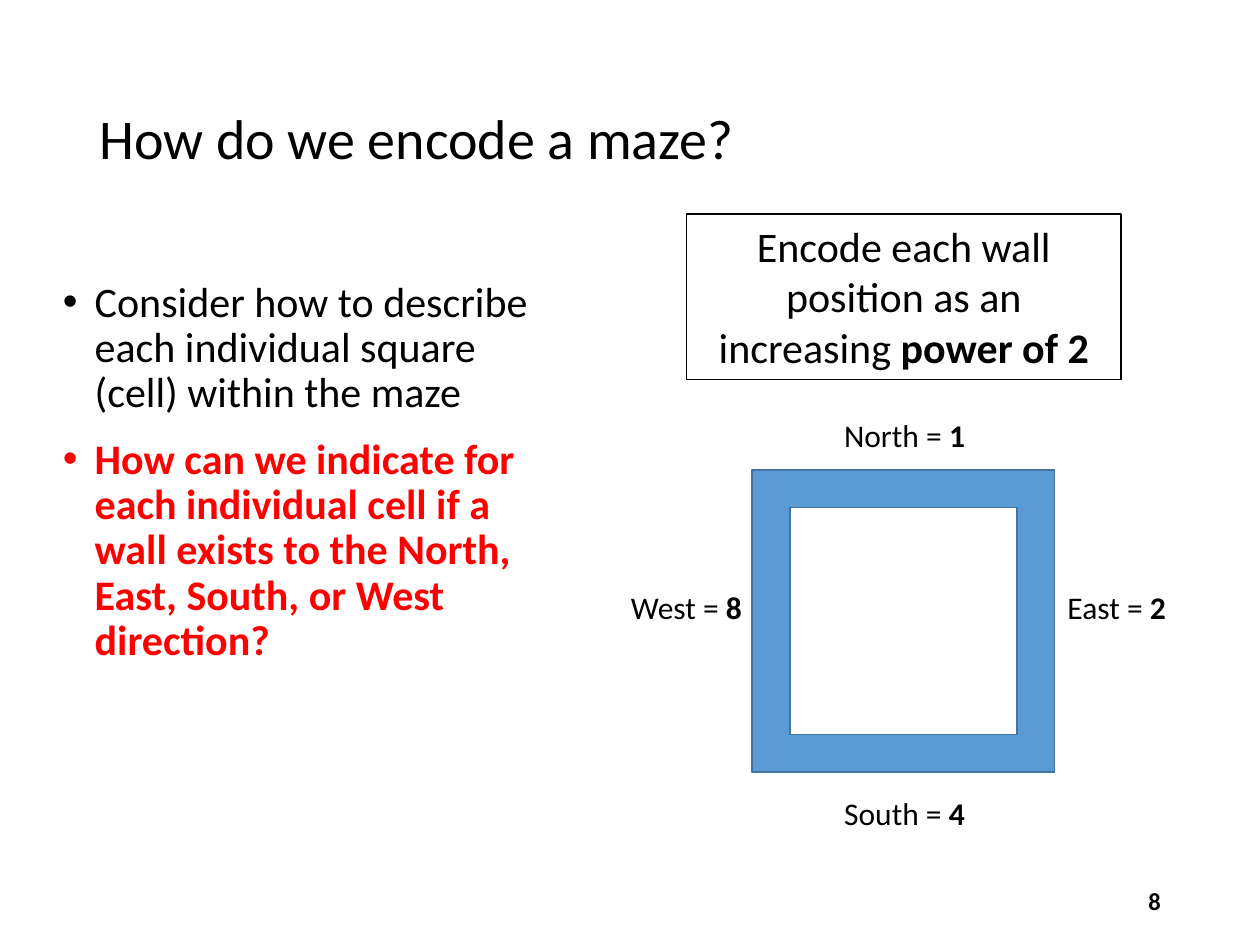
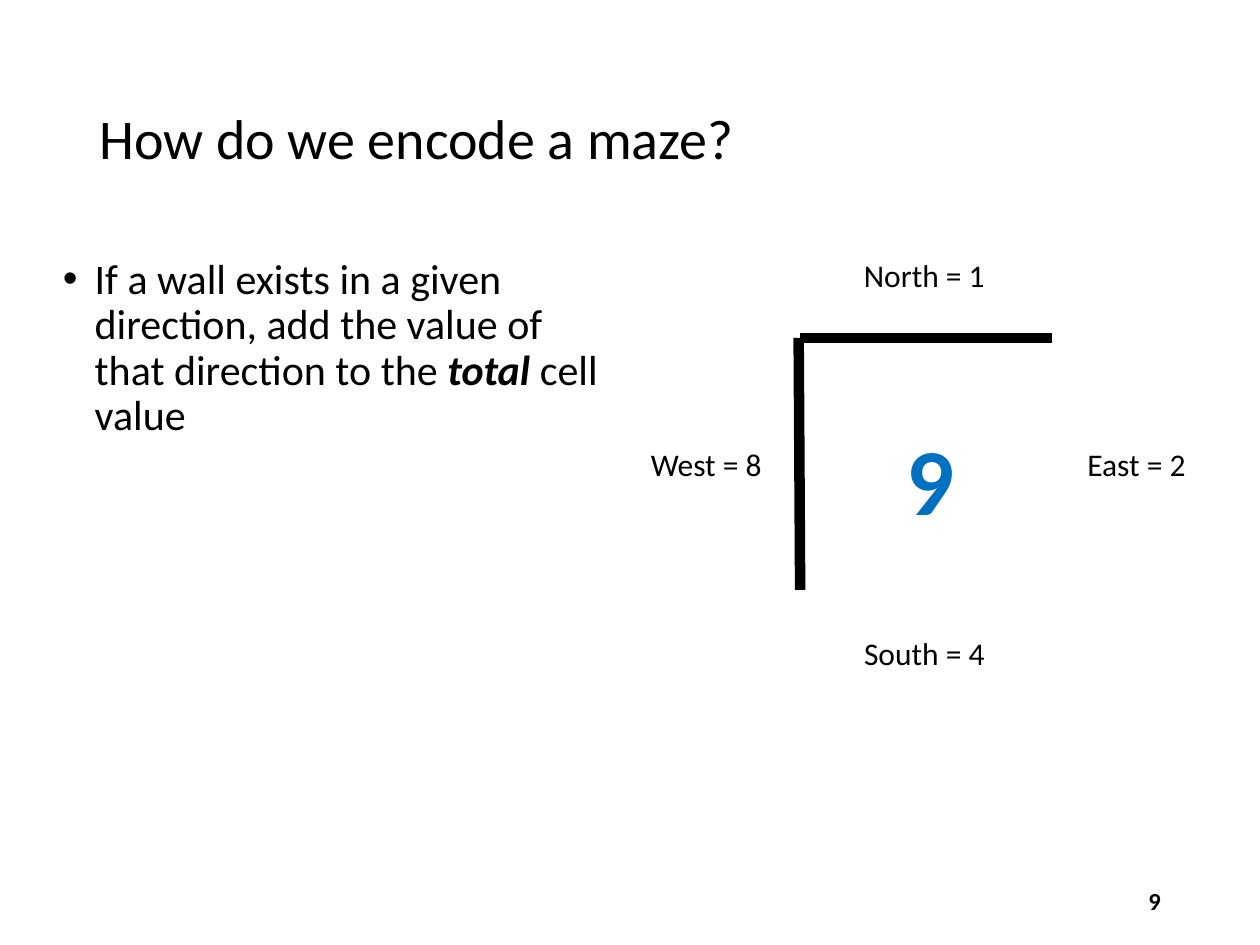
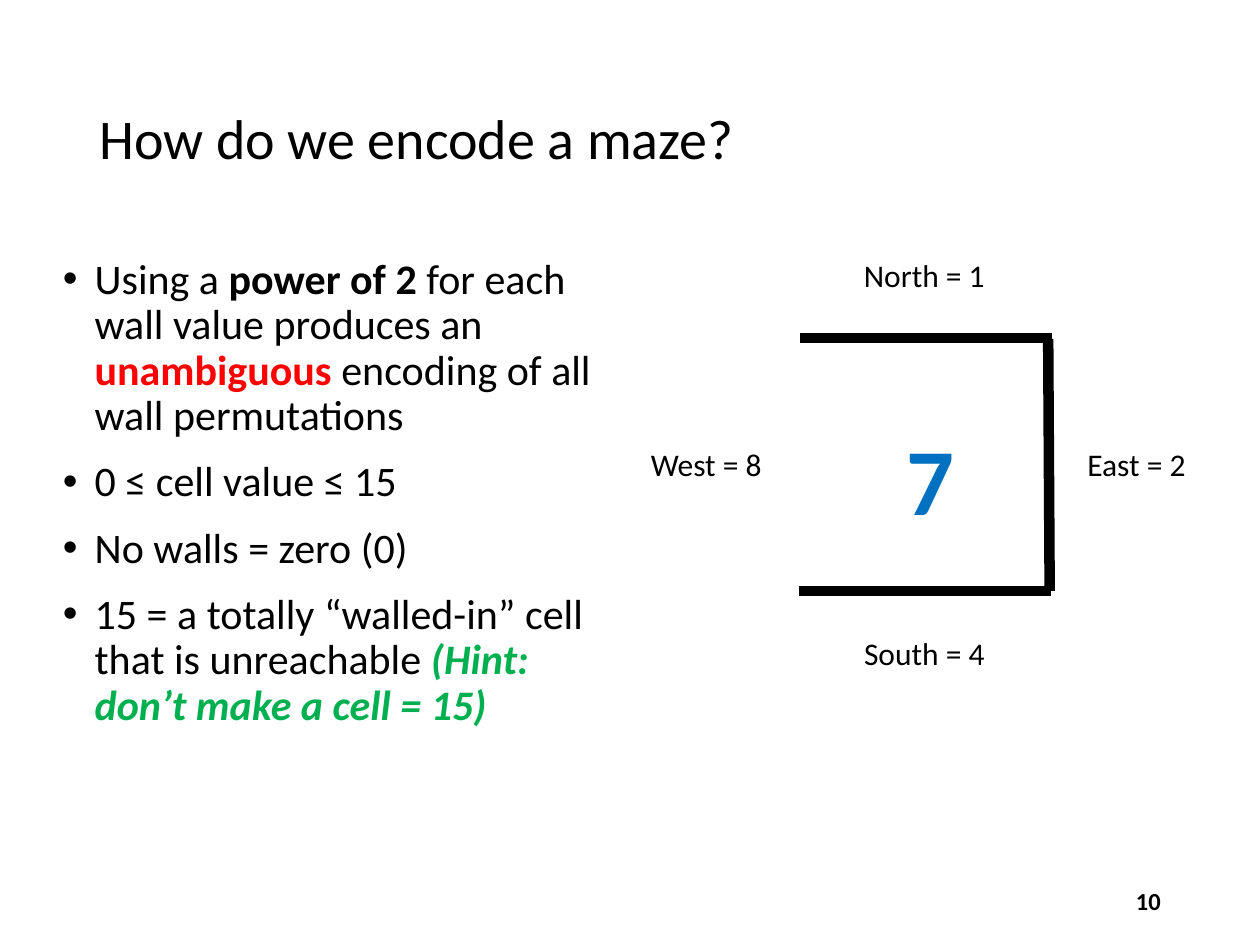
from lxml.etree import SubElement
from pptx import Presentation
from pptx.dml.color import RGBColor
from pptx.enum.shapes import MSO_CONNECTOR as CONN, MSO_SHAPE as SHAPE
from pptx.enum.text import MSO_ANCHOR as ANCHOR, PP_ALIGN as ALIGN
from pptx.oxml.ns import qn
from pptx.util import Cm, Pt

BLACK = RGBColor(0x00, 0x00, 0x00)
RED = RGBColor(0xFF, 0x00, 0x00)
GREEN = RGBColor(0x00, 0xB0, 0x50)
BLUE = RGBColor(0x00, 0x70, 0xC0)
WALL_FILL = RGBColor(0x5B, 0x9B, 0xD5)
WALL_EDGE = RGBColor(0x43, 0x73, 0x9E)

BOLD = {"bold": True}
BOLD_ITALIC = {"bold": True, "italic": True}
RED_BOLD = {"bold": True, "color": RED}
GREEN_HINT = {"bold": True, "italic": True, "color": GREEN}

TITLE = "How do we encode a maze?"
WALLS = {
    "N": (16.13, 6.81, 21.21, 6.81),
    "E": (21.13, 6.83, 21.16, 11.91),
    "S": (16.1, 11.91, 21.18, 11.91),
    "W": (16.1, 6.81, 16.13, 11.89),
}


class Deck:
    """Holds the style and the current slide, and adds elements to it."""

    font = "Calibri"

    def __init__(self):
        self.prs = Presentation()
        self.prs.slide_width, self.prs.slide_height = Cm(25.4), Cm(19.05)
        self.s = None

    def slide(self, number):
        self.s = self.prs.slides.add_slide(self.prs.slide_layouts[6])
        self.text((1.75, 1.02, 21.9, 3.68), [[(TITLE, {})]], 32,
                  anchor=ANCHOR.MIDDLE, line_spacing=0.9)
        self.text((17.93, 17.65, 5.72, 1.02), [[(str(number), BOLD)]], 14,
                  anchor=ANCHOR.MIDDLE, alignment=ALIGN.RIGHT)

    def fill_text(self, sp, paragraphs, size, anchor=ANCHOR.TOP, **layout):
        tf = sp.text_frame
        tf.word_wrap = True
        tf.vertical_anchor = anchor
        for i, runs in enumerate(paragraphs):
            p = tf.add_paragraph() if i else tf.paragraphs[0]
            for name, value in layout.items():
                setattr(p, name, value)
            for words, style in runs:
                r = p.add_run()
                r.text = words
                formats = {"name": self.font, "size": Pt(size), **style}
                r.font.color.rgb = formats.pop("color", BLACK)
                for name, value in formats.items():
                    setattr(r.font, name, value)
        return tf

    def text(self, box, paragraphs, size, **layout):
        sp = self.s.shapes.add_textbox(*map(Cm, box))
        return self.fill_text(sp, paragraphs, size, **layout)

    def bullets(self, top, width, paragraphs):
        tf = self.text((1.02, top, width, 12.09), paragraphs, 24,
                       line_spacing=0.9, space_after=Pt(12))
        for p in tf.paragraphs:
            pPr = p._p.get_or_add_pPr()
            pPr.set("marL", str(Cm(0.64)))
            pPr.set("indent", str(-Cm(0.64)))
            SubElement(pPr, qn("a:buFont"), typeface="Arial")
            SubElement(pPr, qn("a:buChar"), char="•")

    def shape(self, kind, box, edge, fill=None):
        sp = self.s.shapes.add_shape(kind, *map(Cm, box))
        sp.shadow.inherit = False
        if fill is None:
            sp.fill.background()
        else:
            sp.fill.solid()
            sp.fill.fore_color.rgb = fill
        sp.line.color.rgb = edge
        sp.line.width = Pt(1)
        return sp

    def compass(self, center, middle, north, south, value_style):
        side = center - 1.63
        labels = [
            ("North", 1, side, north, ALIGN.CENTER),
            ("East", 2, center + 3.03, middle, ALIGN.LEFT),
            ("South", 4, side, south, ALIGN.CENTER),
            ("West", 8, center - 5.77, middle, ALIGN.LEFT),
        ]
        for name, value, left, top, align in labels:
            self.text((left, top, 3.25, 1.02),
                      [[(f"{name} = ", {}), (str(value), value_style)]], 18,
                      alignment=align)

    def cell(self, walls, value):
        self.compass(18.64, 8.84, 5.03, 12.65, {})
        for wall in walls:
            line = self.s.shapes.add_connector(CONN.STRAIGHT, *map(Cm, WALLS[wall]))
            line.line.color.rgb = BLACK
            line.line.width = Pt(6)
            SubElement(line._element.spPr, qn("a:effectLst"))
        self.text((17.25, 8.36, 3.02, 2.57),
                  [[(str(value), {"bold": True, "color": BLUE})]], 54,
                  alignment=ALIGN.CENTER)


def main():
    deck = Deck()

    deck.slide(8)
    deck.bullets(5.54, 10.39, [
        [("Consider how to describe each individual square (cell) within the maze", {})],
        [("How can we indicate for each individual cell if a wall exists to the "
          "North, East, South, or West direction?", RED_BOLD)],
    ])
    deck.shape(SHAPE.FRAME, (15.16, 9.47, 6.1, 6.1), WALL_EDGE, WALL_FILL)
    deck.compass(18.24, 11.73, 8.26, 15.88, BOLD)
    rule = deck.shape(SHAPE.RECTANGLE, (13.84, 4.32, 8.76, 3.33), BLACK)
    deck.fill_text(rule, [[("Encode each wall position as an increasing ", {}),
                           ("power of 2", BOLD)]], 24, alignment=ALIGN.CENTER)

    deck.slide(9)
    deck.bullets(5.08, 11.66, [
        [("If a wall exists in a given direction, add the value of that "
          "direction to the ", {}), ("total", BOLD_ITALIC), (" cell value", {})],
    ])
    deck.cell("NW", 9)

    deck.slide(10)
    deck.bullets(5.08, 11.66, [
        [("Using a ", {}), ("power of 2 ", BOLD),
         ("for each wall value produces an ", {}), ("unambiguous", RED_BOLD),
         (" encoding of all wall permutations", {})],
        [("0 ≤ cell value ≤ 15", {})],
        [("No walls = zero (0)", {})],
        [("15 = a totally “walled-in” cell that is unreachable ", {}),
         ("(Hint: don’t make a cell = 15)", GREEN_HINT)],
    ])
    deck.cell("NES", 7)

    deck.prs.save("out.pptx")


if __name__ == "__main__":
    main()
